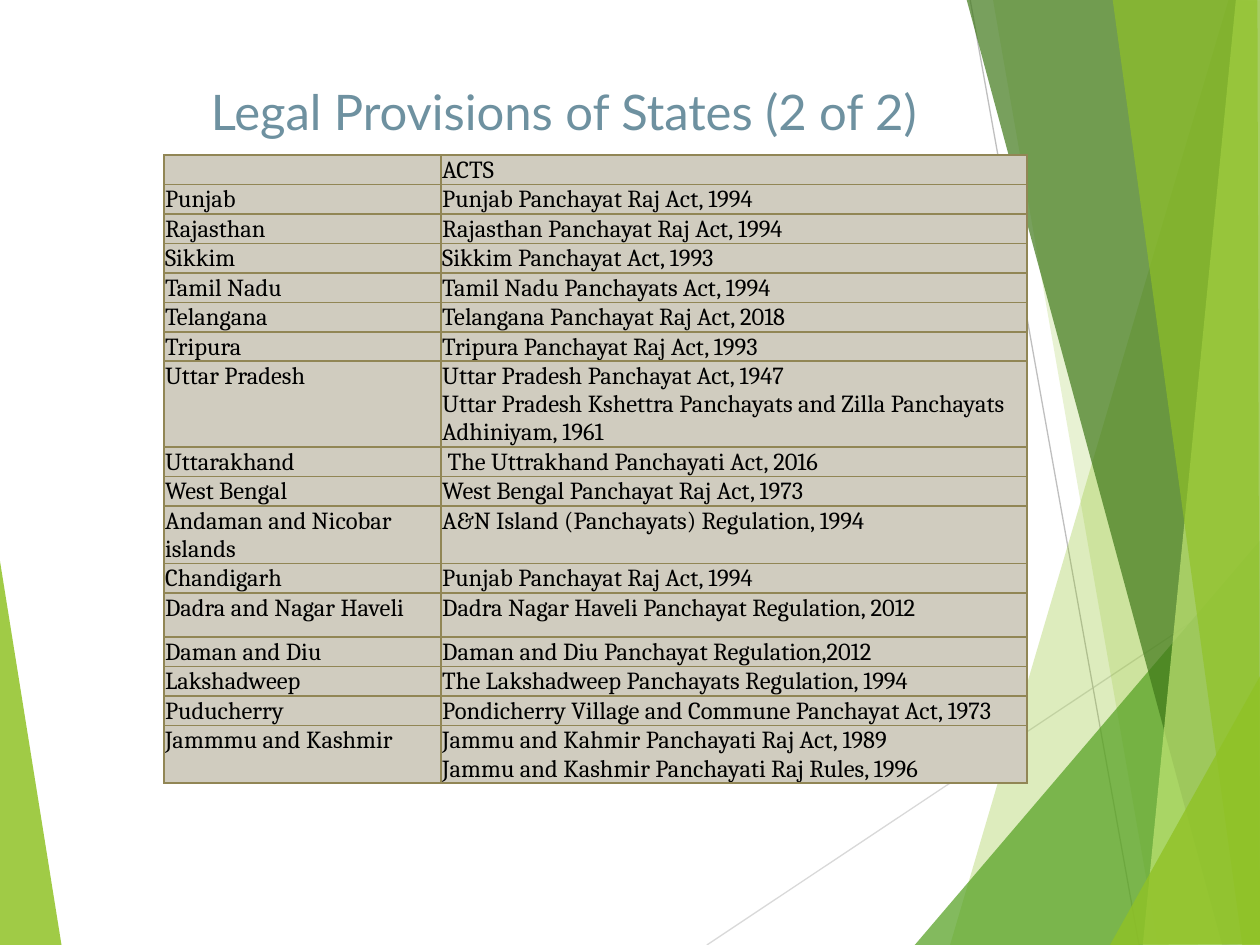
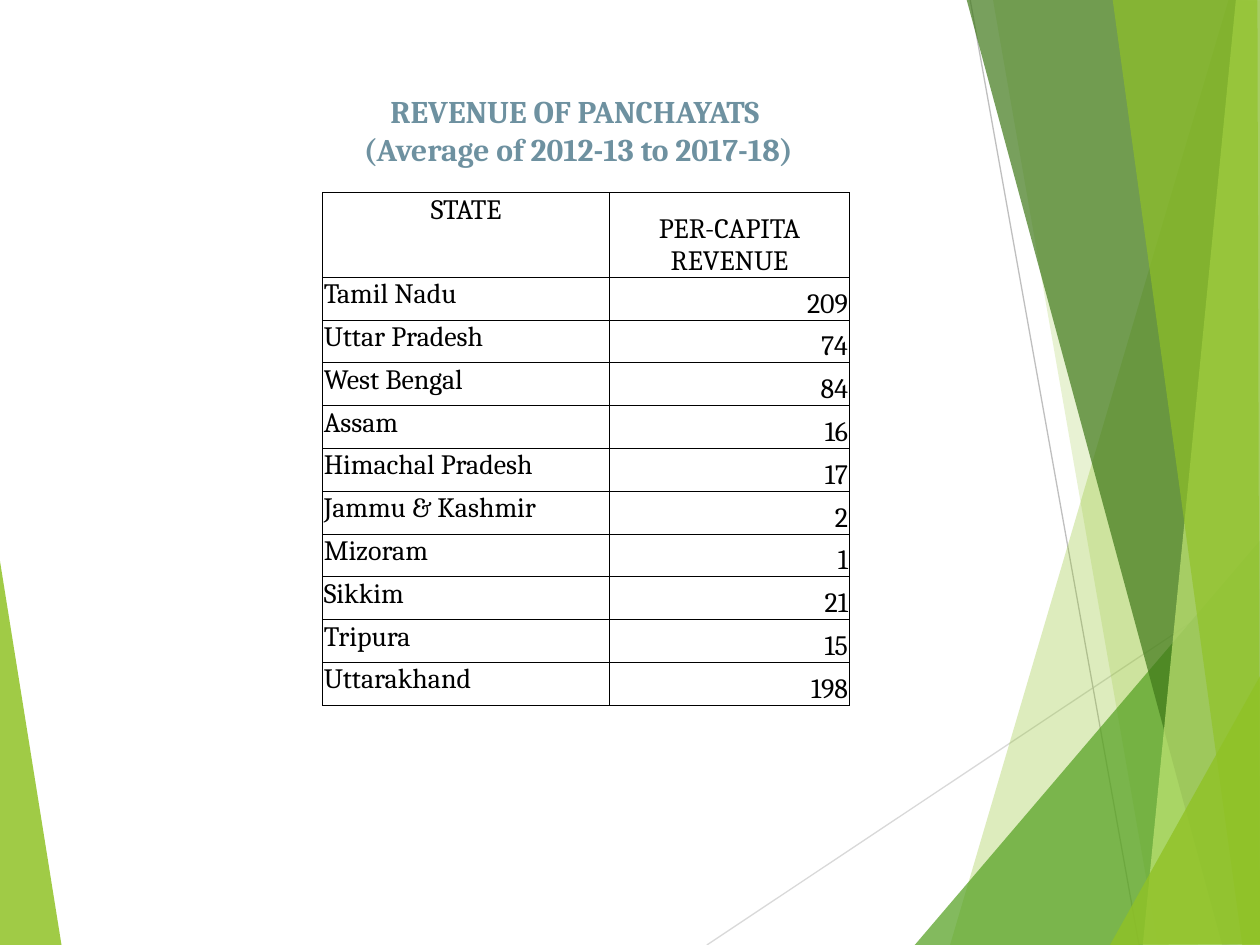
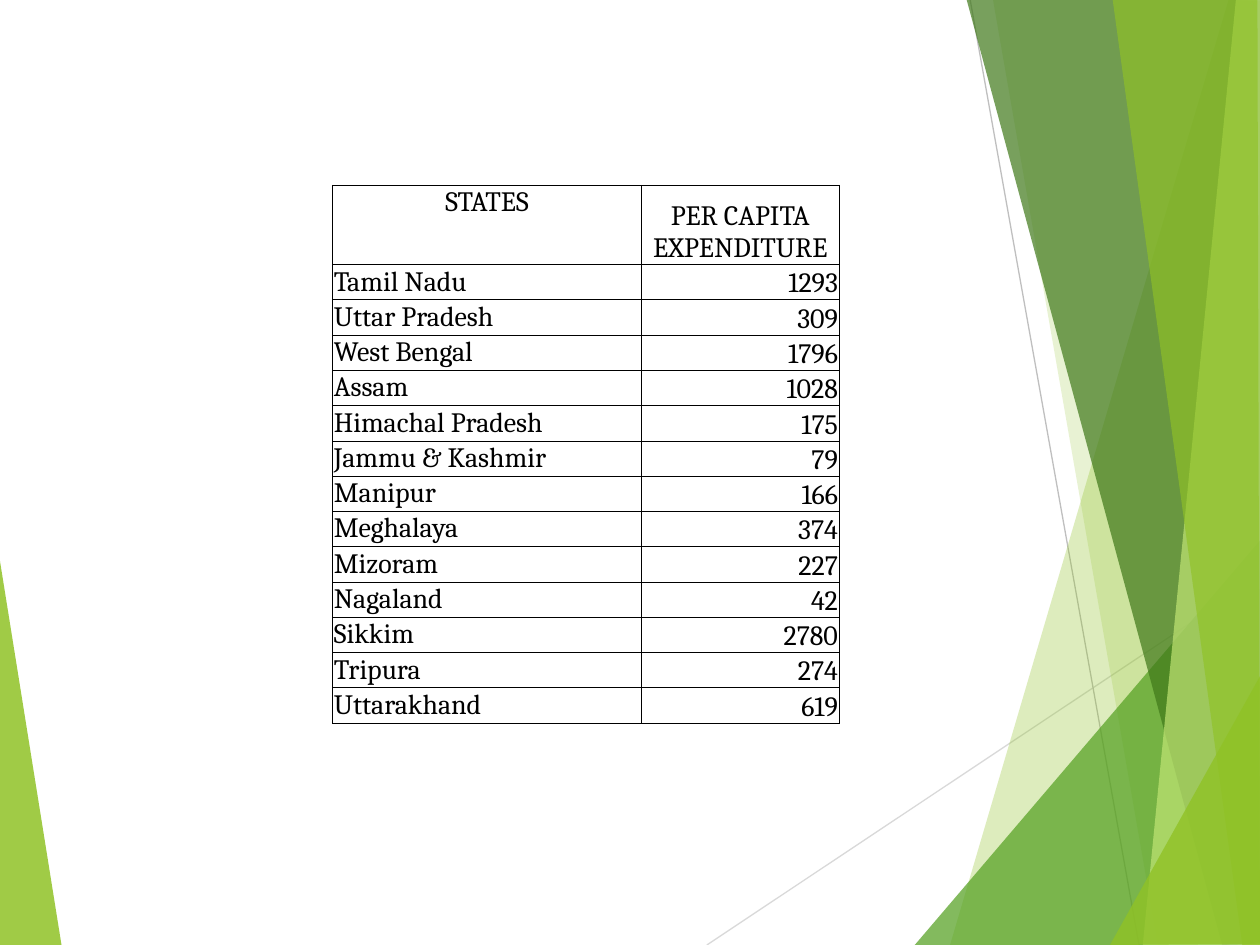
"""Builds three slides of panchayat law and finance tables."""
from dataclasses import dataclass
from typing import NamedTuple

import lxml.etree
import pptx
import pptx.dml.color
import pptx.enum.shapes
import pptx.enum.text
import pptx.oxml.ns
import pptx.util

Inches = pptx.util.Inches
Pt = pptx.util.Pt
ALIGN = pptx.enum.text.PP_ALIGN
ANCHOR = pptx.enum.text.MSO_ANCHOR
qn = pptx.oxml.ns.qn

COLORS = {
    "lime": "90C226", "green": "54A021", "forest": "3F7819", "pale": "C0E474",
    "ray": "D9D9D9", "ray_dark": "BFBFBF", "title": "6E91A0",
    "black": "000000", "sand": "D0CCBF", "olive": "918655",
}
TITLE_ONLY, BLANK = 5, 6
TABLE_FONT = "Cambria"


class Facet(NamedTuple):
    """A translucent background polygon, points in inches, alpha in percent."""
    color: str
    alpha: int
    points: list[tuple[float, float]]


class Ray(NamedTuple):
    """A thin background line, ends in inches."""
    color: str
    start: tuple[float, float]
    end: tuple[float, float]


@dataclass
class Title:
    """Title lines with their box (left, top, width, height) and font."""
    lines: list[str]
    box: tuple[float, float, float, float]
    font: str
    size: int
    bold: bool = False
    wrap: bool = True


@dataclass
class Grid:
    """A table: top left corner, sizes in inches, contents and look."""
    left: float
    top: float
    cols: list[float]
    heights: list[float]
    rows: list[tuple[str, str]]
    size: int
    border: str
    border_width: float
    fill: str | None = None
    numeric: bool = False


BACKDROP = [
    Facet("lime", 85, [(-0.01, 4.39), (0.49, 7.51), (-0.01, 7.5)]),
    Ray("ray", (5.61, 7.5), (10.01, 4.57)),
    Ray("ray_dark", (7.7, 0), (9.04, 7.5)),
    Facet("lime", 30, [(9.75, 0), (7.54, 7.5), (10.02, 7.51), (10.01, 0.01)]),
    Facet("lime", 20, [(7.88, -0.01), (9.19, 7.5), (10.01, 7.5), (10.01, -0.01)]),
    Facet("green", 72, [(7.26, 7.5), (10, 4.29), (10.01, 7.5)]),
    Facet("forest", 70, [(7.67, -0.01), (9.7, 7.5), (10.01, 7.49), (10.01, -0.01)]),
    Facet("pale", 70, [(9.81, -0.01), (9.07, 7.5), (10.01, 7.5), (10, -0.01)]),
    Facet("lime", 65, [(8.83, -0.01), (9.86, 7.5), (10, 7.5), (9.98, -0.01)]),
    Facet("lime", 80, [(8.81, 7.5), (10.01, 5.35), (10.01, 7.49)]),
]

ACTS = [
    ("", "ACTS"),
    ("Punjab", "Punjab Panchayat Raj Act, 1994"),
    ("Rajasthan", "Rajasthan Panchayat Raj Act, 1994"),
    ("Sikkim", "Sikkim Panchayat Act, 1993"),
    ("Tamil Nadu", "Tamil Nadu Panchayats Act, 1994"),
    ("Telangana", "Telangana Panchayat Raj Act, 2018"),
    ("Tripura", "Tripura Panchayat Raj Act, 1993"),
    ("Uttar Pradesh", "Uttar Pradesh Panchayat Act, 1947\n"
     "Uttar Pradesh Kshettra Panchayats and Zilla Panchayats Adhiniyam, 1961"),
    ("Uttarakhand", " The Uttrakhand Panchayati Act, 2016"),
    ("West Bengal", "West Bengal Panchayat Raj Act, 1973"),
    ("Andaman and Nicobar islands", "A&N Island (Panchayats) Regulation, 1994"),
    ("Chandigarh", "Punjab Panchayat Raj Act, 1994"),
    ("Dadra and Nagar Haveli", "Dadra Nagar Haveli Panchayat Regulation, 2012"),
    ("Daman and Diu", "Daman and Diu Panchayat Regulation,2012"),
    ("Lakshadweep", "The Lakshadweep Panchayats Regulation, 1994"),
    ("Puducherry", "Pondicherry Village and Commune Panchayat Act, 1973"),
    ("Jammmu and Kashmir", "Jammu and Kahmir Panchayati Raj Act, 1989\n"
     "Jammu and Kashmir Panchayati Raj Rules, 1996"),
]
ACT_HEIGHTS = [0.22] * 7 + [0.41, 0.22, 0.22, 0.35, 0.22, 0.35] + [0.22] * 3 + [0.41]

REVENUE = [
    ("STATE", "PER-CAPITA REVENUE"),
    ("Tamil Nadu", "209"), ("Uttar Pradesh", "74"), ("West Bengal", "84"),
    ("Assam", "16"), ("Himachal Pradesh", "17"), ("Jammu & Kashmir", "2"),
    ("Mizoram", "1"), ("Sikkim", "21"), ("Tripura", "15"), ("Uttarakhand", "198"),
]
EXPENDITURE = [
    ("STATES", "PER CAPITA EXPENDITURE"),
    ("Tamil Nadu", "1293"), ("Uttar Pradesh", "309"), ("West Bengal", "1796"),
    ("Assam", "1028"), ("Himachal Pradesh", "175"), ("Jammu & Kashmir", "79"),
    ("Manipur", "166"), ("Meghalaya", "374"), ("Mizoram", "227"),
    ("Nagaland", "42"), ("Sikkim", "2780"), ("Tripura", "274"),
    ("Uttarakhand", "619"),
]


def rgb(name: str) -> pptx.dml.color.RGBColor:
    """Look up a named colour."""
    return pptx.dml.color.RGBColor.from_string(COLORS[name])


def set_font(p, name: str, size: int, color: str, bold: bool = False) -> None:
    """Format a whole paragraph."""
    p.font.name, p.font.size, p.font.bold = name, Pt(size), bold
    p.font.color.rgb = rgb(color)


def draw_facet(s, facet: Facet):
    """Draw one translucent polygon."""
    points = [(Inches(x), Inches(y)) for x, y in facet.points]
    builder = s.shapes.build_freeform(*points[0])
    builder.add_line_segments(points[1:], close=True)
    sp = builder.convert_to_shape()
    sp.shadow.inherit = False
    sp.fill.solid()
    sp.fill.fore_color.rgb = rgb(facet.color)
    clr = sp.element.find(".//" + qn("a:srgbClr"))
    lxml.etree.SubElement(clr, qn("a:alpha"), val=str(facet.alpha * 1000))
    sp.line.fill.background()
    return sp


def draw_ray(s, ray: Ray):
    """Draw one thin line without a shadow."""
    ends = [Inches(v) for v in ray.start + ray.end]
    sp = s.shapes.add_connector(pptx.enum.shapes.MSO_CONNECTOR.STRAIGHT, *ends)
    sp.line.color.rgb = rgb(ray.color)
    sp.line.width = Pt(0.75)
    lxml.etree.SubElement(sp.element.find(qn("p:spPr")), qn("a:effectLst"))
    return sp


def add_backdrop(prs, s) -> None:
    """Draw the backdrop on a slide, then move it to the back of the master."""
    tree = prs.slide_master.shapes.element
    for i, item in enumerate(BACKDROP):
        draw = draw_facet if isinstance(item, Facet) else draw_ray
        sp = draw(s, item)
        sp.element.find(".//" + qn("p:cNvPr")).set("id", str(100 + i))
        tree.insert(2 + i, sp.element)


def add_title(s, title: Title) -> None:
    """Place and format the title placeholder."""
    sp = s.shapes.title
    sp.left, sp.top, sp.width, sp.height = (Inches(v) for v in title.box)
    tf = sp.text_frame
    tf.text = "\n".join(title.lines)
    tf.word_wrap = title.wrap
    tf.auto_size = pptx.enum.text.MSO_AUTO_SIZE.NONE
    tf.vertical_anchor = ANCHOR.TOP
    for p in tf.paragraphs:
        p.alignment = ALIGN.CENTER
        set_font(p, title.font, title.size, "title", title.bold)


def set_borders(cell, color: str, width: float) -> None:
    """Give a cell the same line on all four sides."""
    tc_pr = cell._tc.get_or_add_tcPr()
    for side in ("lnL", "lnR", "lnT", "lnB"):
        ln = lxml.etree.SubElement(tc_pr, qn("a:" + side), w=str(Pt(width)))
        fill = lxml.etree.SubElement(ln, qn("a:solidFill"))
        lxml.etree.SubElement(fill, qn("a:srgbClr"), val=COLORS[color])


def add_grid(s, grid: Grid) -> None:
    """Draw a two-column table."""
    frame = s.shapes.add_table(
        len(grid.rows), len(grid.cols), Inches(grid.left), Inches(grid.top),
        Inches(sum(grid.cols)), Inches(sum(grid.heights)))
    table = frame.table
    table.first_row = table.horz_banding = False
    for column, width in zip(table.columns, grid.cols):
        column.width = Inches(width)
    for i, (row, height) in enumerate(zip(table.rows, grid.heights)):
        row.height = Inches(height)
        for j, cell in enumerate(row.cells):
            cell.margin_left = cell.margin_right = cell.margin_top = Inches(0.01)
            cell.margin_bottom = 0
            set_borders(cell, grid.border, grid.border_width)
            if grid.fill:
                cell.fill.solid()
                cell.fill.fore_color.rgb = rgb(grid.fill)
            else:
                cell.fill.background()
            align = ALIGN.LEFT
            if grid.numeric:
                cell.vertical_anchor = ANCHOR.BOTTOM if j else ANCHOR.TOP
                if i == 0:
                    align = ALIGN.CENTER
                elif j:
                    align = ALIGN.RIGHT
            cell.text_frame.text = grid.rows[i][j]
            for p in cell.text_frame.paragraphs:
                p.alignment = align
                set_font(p, TABLE_FONT, grid.size, "black")


def amounts(left: float, top: float, cols: list[float], header: float,
            row: float, rows: list[tuple[str, str]]) -> Grid:
    """Describe a plain table of states and amounts."""
    heights = [header] + [row] * (len(rows) - 1)
    return Grid(left, top, cols, heights, rows, 16, "black", 0.5, numeric=True)


SLIDES = [
    (Title(["Legal Provisions of States (2 of 2)"], (1.45, 0.6, 6.05, 1.04),
           "Lato", 28, wrap=False),
     Grid(1.3, 1.23, [2.2, 4.65], ACT_HEIGHTS, ACTS, 14, "olive", 1, "sand")),
    (Title(["REVENUE OF PANCHAYATS ", "(Average of 2012-13 to 2017-18)"],
           (2.09, 0.68, 5, 0.71), "Cambria", 18, bold=True),
     amounts(2.56, 1.53, [2.28, 1.9], 0.67, 0.34, REVENUE)),
    (None, amounts(2.64, 1.47, [2.45, 1.57], 0.63, 0.28, EXPENDITURE)),
]


def main() -> None:
    """Build and save the slides."""
    prs = pptx.Presentation()
    prs.slide_width, prs.slide_height = Inches(10), Inches(7.5)
    for n, (title, grid) in enumerate(SLIDES):
        s = prs.slides.add_slide(prs.slide_layouts[TITLE_ONLY if title else BLANK])
        if n == 0:
            add_backdrop(prs, s)
        add_grid(s, grid)
        if title:
            add_title(s, title)
    prs.save("out.pptx")


main()
